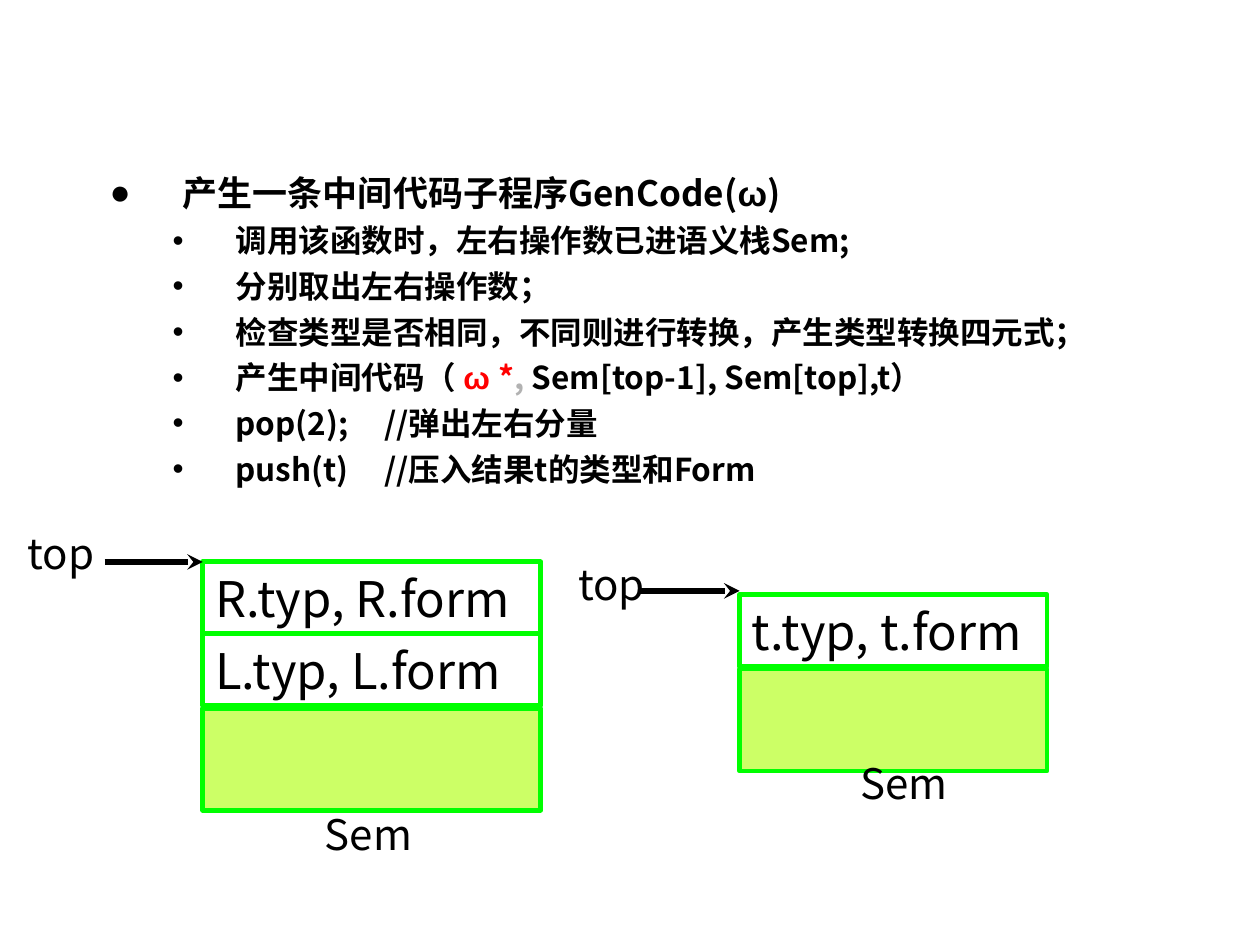
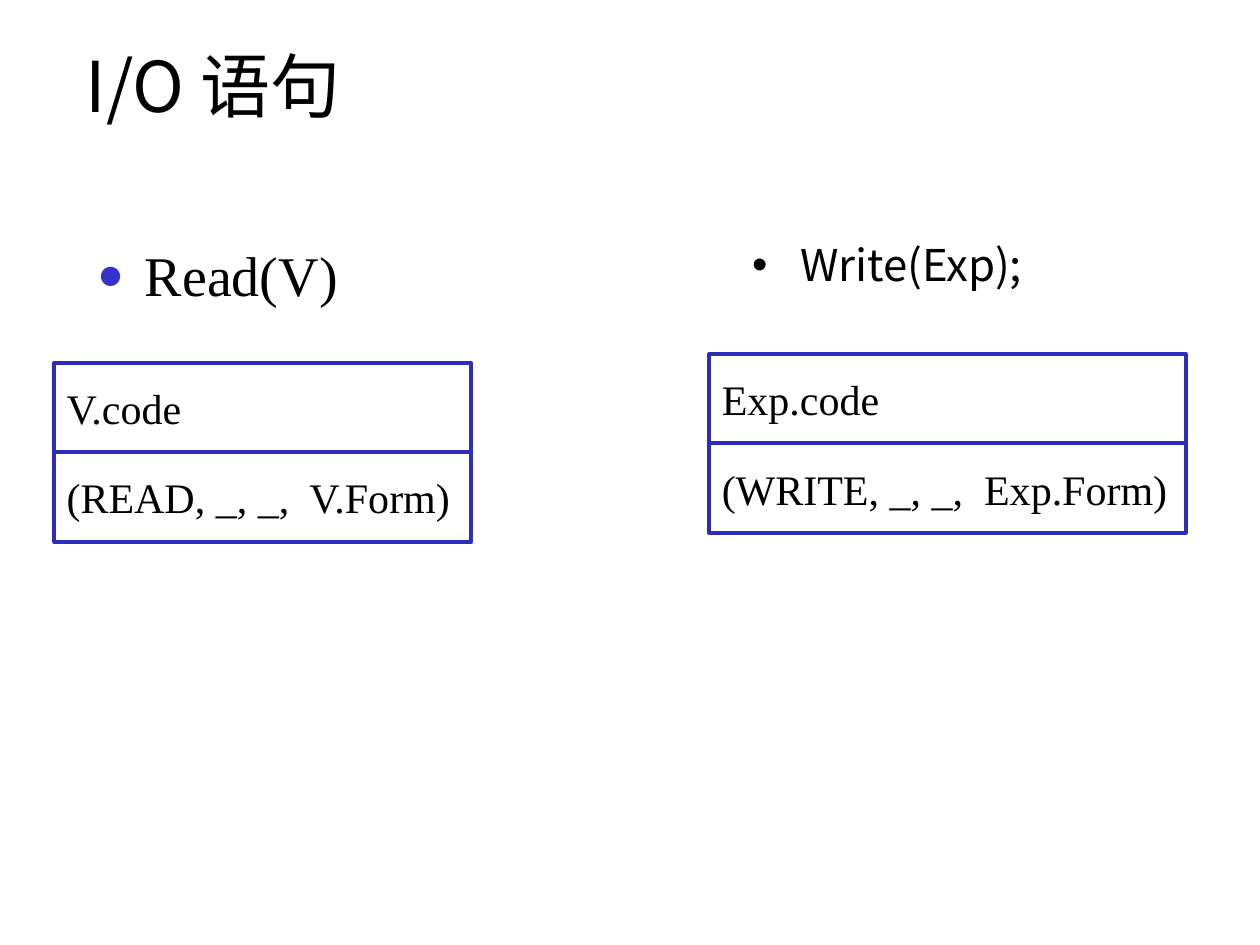
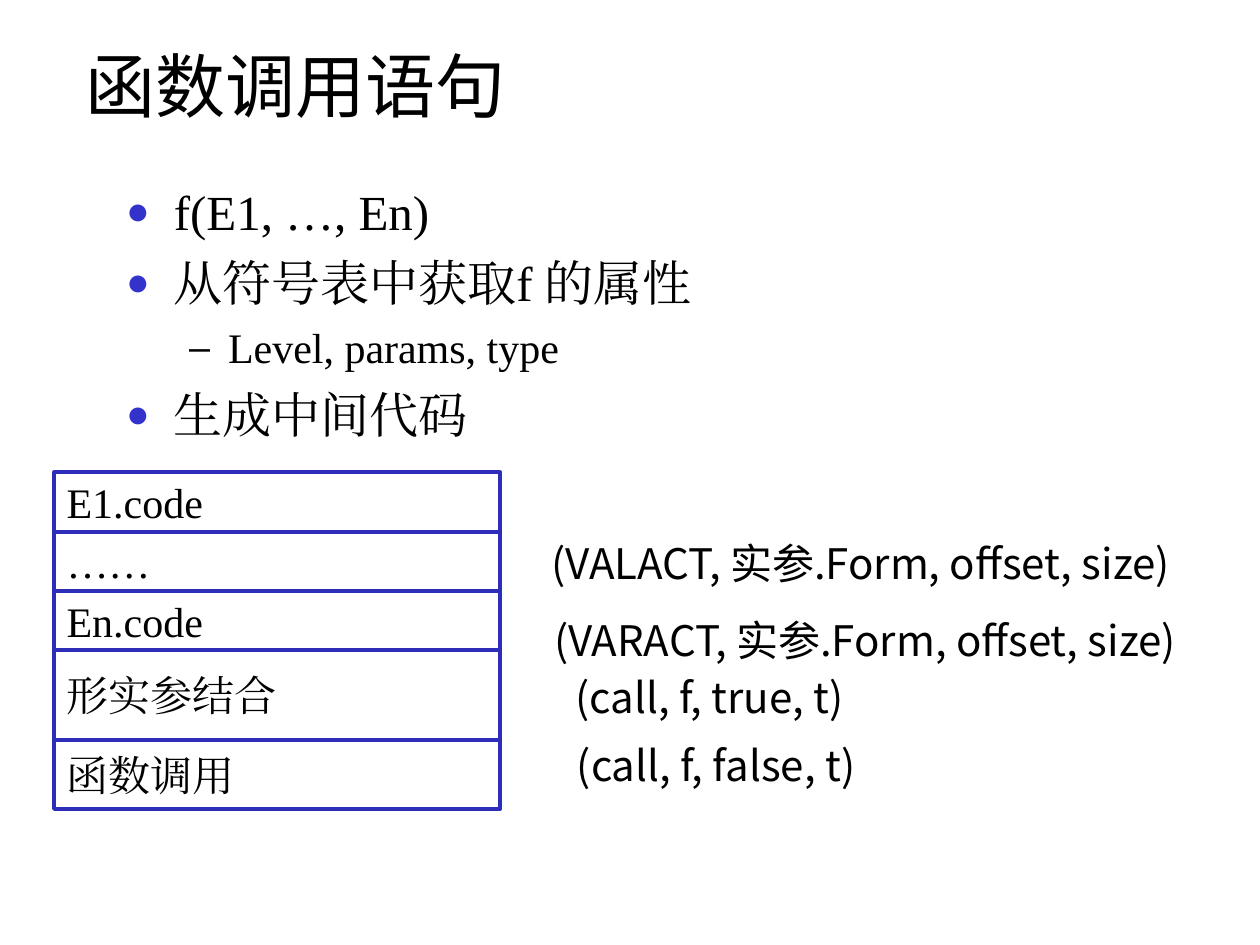
import pptx
import pptx.dml.color
import pptx.enum.shapes
import pptx.enum.text
import pptx.oxml
import pptx.oxml.ns
import pptx.util
from pptx.util import Inches

RGBColor = pptx.dml.color.RGBColor
BLACK = RGBColor(0x00, 0x00, 0x00)
RED = RGBColor(0xFF, 0x00, 0x00)
GREY = RGBColor(0xB2, 0xB2, 0xB2)
BLUE = RGBColor(0x33, 0x33, 0xCC)
FRAME_BLUE = RGBColor(0x2D, 0x2D, 0xB9)
GREEN = RGBColor(0x00, 0xFF, 0x00)
LIME = RGBColor(0xCC, 0xFF, 0x66)

SANS = "Noto Sans CJK KR"
SERIF = "Times New Roman"
GREEK = "Arial"
LEADING = 1.2

# Paragraph styles: level, indents in inches, space before and size in points
HEADLINE = dict(level=1, left=1.08, hang=0.58, before=5, size=20,
                name=SANS, bold=True, bullet="●", bullet_color=BLACK, scale=100)
DETAIL = dict(HEADLINE, level=2, left=1.5, hang=0.5, before=4.5, size=18, bullet="•")
POINT = dict(level=0, left=0.38, hang=0.38, before=7, size=28,
             name=SERIF, bold=False, bullet="●", bullet_color=BLUE, scale=80)
DASH = dict(POINT, level=1, left=0.81, hang=0.31, before=6, size=24,
            bullet="–", bullet_color=BLACK, scale=90)
READ_ITEM = dict(POINT, size=32)
WRITE_ITEM = dict(POINT, size=25, name=SANS, bullet="•", bullet_color=BLACK, scale=100)


def add_xml(parent, tag, **attributes):
    child = pptx.oxml.parse_xml(f"<a:{tag} {pptx.oxml.ns.nsdecls('a')}/>")
    for key, value in attributes.items():
        child.set(key, str(value))
    parent.append(child)
    return child


class Deck:
    def __init__(self):
        self.deck = pptx.Presentation()
        self.deck.slide_width, self.deck.slide_height = Inches(10), Inches(7.5)
        self.page = None

    def new_page(self, layout, title=None):
        self.page = self.deck.slides.add_slide(self.deck.slide_layouts[layout])
        heading = self.page.shapes.title
        if title is None:
            heading.element.getparent().remove(heading.element)
            return
        self.place(heading, 0.58, 0.17, 8.49, 1)
        self.frame(heading)
        self.add_span(heading.text_frame.paragraphs[0], title, 40, SANS)

    def place(self, box, left, top, width, height):
        position = dict(left=left, top=top, width=width, height=height)
        for key, value in position.items():
            setattr(box, key, Inches(value))

    def frame(self, box, anchor=pptx.enum.text.MSO_ANCHOR.MIDDLE):
        settings = dict(
            word_wrap=True, auto_size=pptx.enum.text.MSO_AUTO_SIZE.NONE,
            vertical_anchor=anchor, margin_left=Inches(0.1), margin_right=Inches(0.1),
            margin_top=Inches(0.05), margin_bottom=Inches(0.05))
        for key, value in settings.items():
            setattr(box.text_frame, key, value)

    def add_span(self, para, text, size, name, color=BLACK, bold=False):
        para.alignment = pptx.enum.text.PP_ALIGN.LEFT
        span = para.add_run()
        span.text = text
        span.font.color.rgb = color
        for key, value in dict(size=pptx.util.Pt(size), name=name, bold=bold).items():
            setattr(span.font, key, value)
        add_xml(span.font._element, "ea", typeface=name)

    def bullets(self, index, position, items):
        """Fill a body placeholder; an item is a style and its (text, changes) spans."""
        box = self.page.placeholders[index]
        self.place(box, *position)
        self.frame(box, pptx.enum.text.MSO_ANCHOR.TOP)
        for number, (style, *spans) in enumerate(items):
            frame = box.text_frame
            para = frame.add_paragraph() if number else frame.paragraphs[0]
            props = para._p.get_or_add_pPr()
            props.set("marL", str(Inches(style["left"])))
            props.set("indent", str(-Inches(style["hang"])))
            add_xml(add_xml(props, "buClr"), "srgbClr", val=style["bullet_color"])
            add_xml(props, "buSzPct", val=style["scale"] * 1000)
            add_xml(props, "buFont", typeface="Arial")
            add_xml(props, "buChar", char=style["bullet"])
            spacing = dict(level=style["level"],
                           line_spacing=pptx.util.Pt(style["size"] * LEADING),
                           space_before=pptx.util.Pt(style["before"] if number else 0))
            for key, value in spacing.items():
                setattr(para, key, value)
            for text, changes in spans:
                font = {key: style[key] for key in ("size", "name", "bold")}
                self.add_span(para, text, **{**font, **changes})

    def label(self, text, left, top, width, height=0.5):
        box = self.page.shapes.add_textbox(
            Inches(left), Inches(top), Inches(width), Inches(height))
        self.frame(box)
        self.add_span(box.text_frame.paragraphs[0], text, 24, SANS)

    def cell(self, position, line, weight, fill=None, text=None, size=24, name=SERIF):
        box = self.page.shapes.add_shape(
            pptx.enum.shapes.MSO_SHAPE.RECTANGLE, *map(Inches, position))
        box.shadow.inherit = False
        box.line.color.rgb = line
        box.line.width = pptx.util.Pt(weight)
        if fill is None:
            box.fill.background()
        else:
            box.fill.solid()
            box.fill.fore_color.rgb = fill
        if text:
            self.frame(box)
            self.add_span(box.text_frame.paragraphs[0], text, size, name)

    def code_stack(self, left, top, width, rows):
        for text, height in rows:
            self.cell((left, top, width, height), FRAME_BLUE, 2.25, text=text)
            top += height

    def semantic_stack(self, left, top, width, entries):
        row = 0.57
        rest = top + row * len(entries) + 0.02
        self.cell((left, rest, width, 0.81), GREEN, 2.75, fill=LIME)
        for number, text in enumerate(entries):
            self.cell((left, top + number * row, width, row), GREEN, 2.75,
                      text=text, size=28, name=SANS)

    def arrow(self, start, end, height):
        line = self.page.shapes.add_connector(
            pptx.enum.shapes.MSO_CONNECTOR.STRAIGHT,
            Inches(start), Inches(height), Inches(end), Inches(height))
        line.line.color.rgb = BLACK
        line.line.width = pptx.util.Pt(3)
        add_xml(line.line._get_or_add_ln(), "tailEnd", type="stealth")
        add_xml(line._element.spPr, "effectLst")


def gencode_page(deck):
    deck.new_page(1)
    greek = dict(name=GREEK)
    deck.bullets(1, (0.27, 1.31, 9.37, 4.73), [
        (HEADLINE, ("产生一条中间代码子程序GenCode(", {}), ("ω", greek), (")", {})),
        (DETAIL, ("调用该函数时，左右操作数已进语义栈Sem;", {})),
        (DETAIL, ("分别取出左右操作数；", {})),
        (DETAIL, ("检查类型是否相同，不同则进行转换，产生类型转换四元式；", {})),
        (DETAIL, ("产生中间代码（ ", {}), ("ω ", dict(greek, color=RED)),
         ("*", dict(color=RED)), (",", dict(color=GREY)),
         (" Sem[top-1], Sem[top],t）", {})),
        (DETAIL, ("pop(2);     //弹出左右分量", {})),
        (DETAIL, ("push(t)     //压入结果t的类型和Form", {})),
    ])
    # Stack before the call
    deck.semantic_stack(1.61, 4.46, 2.68, ["R.typ, R.form", "L.typ, L.form"])
    deck.label("Sem", 2.48, 6.37, 2.68)
    deck.label("top", 0.12, 4.14, 1.97)
    deck.arrow(0.83, 1.61, 4.46)
    # Stack after the call
    deck.semantic_stack(5.87, 4.72, 2.44, ["t.typ, t.form"])
    deck.label("Sem", 6.73, 5.96, 1.18)
    deck.label("top", 4.49, 4.38, 1.97)
    deck.arrow(5.08, 5.87, 4.69)


def io_page(deck):
    deck.new_page(3, "I/O 语句")
    # The layout's caption placeholders stay unused
    used = (0, 1, 2)
    for box in list(deck.page.placeholders):
        if box.placeholder_format.idx not in used:
            box.element.getparent().remove(box.element)
    deck.bullets(1, (0.67, 1.86, 2.36, 0.63), [(READ_ITEM, ("Read(V)", {}))])
    deck.bullets(2, (5.87, 1.84, 2.76, 0.55), [(WRITE_ITEM, ("Write(Exp);", {}))])
    deck.code_stack(0.43, 2.88, 3.31,
                    [("V.code", 0.71), ("(READ, _, _,  V.Form)", 0.71)])
    deck.code_stack(5.63, 2.81, 3.78,
                    [("Exp.code", 0.71), ("(WRITE, _, _,  Exp.Form)", 0.71)])


def call_page(deck):
    deck.new_page(1, "函数调用语句")
    deck.bullets(1, (0.9, 1.39, 6.22, 1.58), [
        (POINT, ("f(E1, …, En)", {})),
        (POINT, ("从符号表中获取f 的属性", {})),
        (DASH, ("Level, params, type", {})),
        (POINT, ("生成中间代码", {})),
    ])
    deck.code_stack(0.43, 3.75, 3.54, [
        ("E1.code", 0.47), ("……", 0.47), ("En.code", 0.47),
        ("形实参结合", 0.71), ("函数调用", 0.55)])
    # Quadruples beside the code
    for text, left, top, width in [
            ("(VALACT, 实参.Form, offset, size)", 4.28, 4.22, 5.36),
            ("(VARACT, 实参.Form, offset, size)", 4.3, 4.83, 5.39),
            ("(call, f, true, t)", 4.47, 5.28, 2.34),
            ("(call, f, false, t)", 4.48, 5.82, 2.42)]:
        deck.label(text, left, top, width)


def main():
    deck = Deck()
    gencode_page(deck)
    io_page(deck)
    call_page(deck)
    deck.deck.save("out.pptx")


if __name__ == "__main__":
    main()
